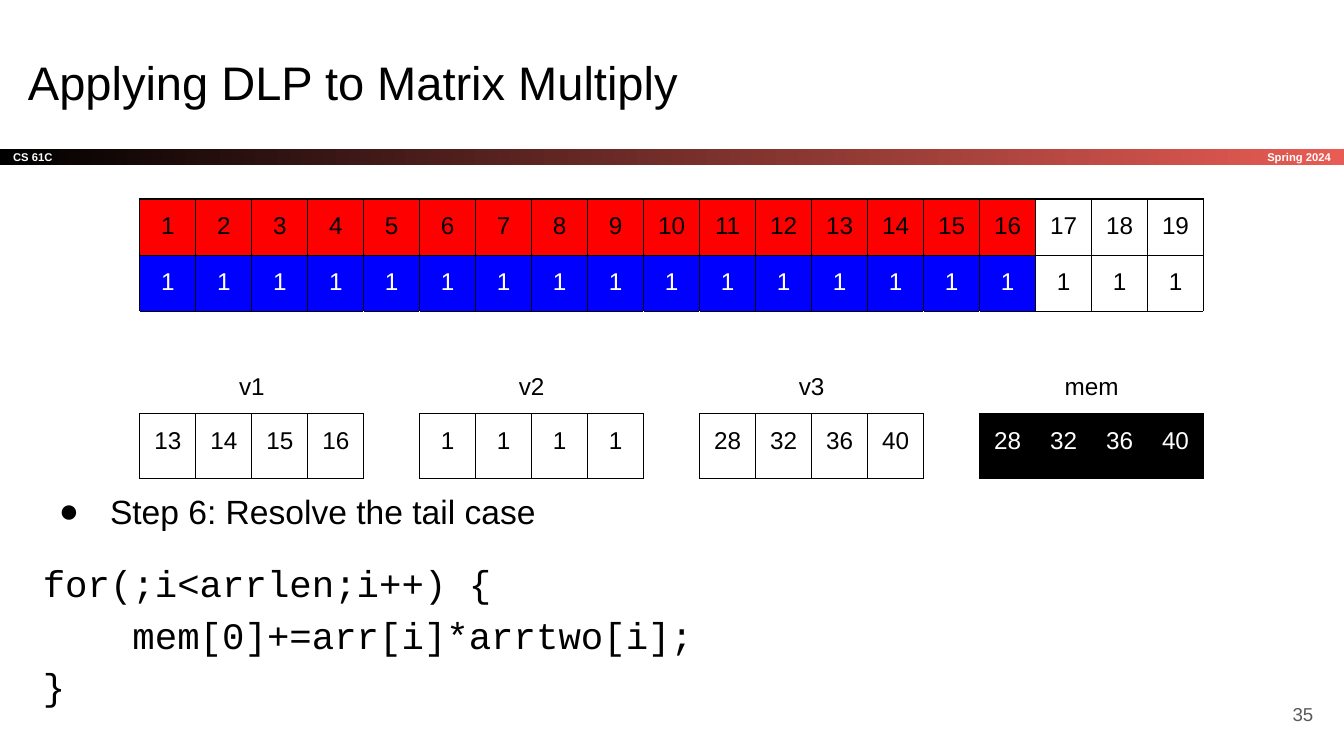
from lxml.etree import SubElement as Sub
from pptx import Presentation
from pptx.dml.color import RGBColor as RGB
from pptx.enum.shapes import MSO_SHAPE as SHAPE
from pptx.enum.text import MSO_ANCHOR as ANCHOR, PP_ALIGN as ALIGN
from pptx.oxml.ns import qn
from pptx.util import Inches, Pt


class Theme:
    black, white, gray = "000000", "FFFFFF", "595959"
    red, blue, coral = "FF0000", "0000FF", "E85C54"
    sans, mono = "Arial", "Courier New"
    title, body, code, cell, page, strip = 25.2, 18, 20, 13, 10, 6


def write(par, text, size, color=Theme.black, font=Theme.sans, bold=False):
    run = par.add_run()
    run.text = text
    run.font.size = Pt(size)
    run.font.name = font
    run.font.bold = bold
    run.font.color.rgb = RGB.from_string(color)


def edge(cell, colors):
    """Draw the left, right, top and bottom borders, in that order."""
    props = cell._tc.get_or_add_tcPr()
    for side, color in zip("LRTB", colors):
        line = Sub(props, qn(f"a:ln{side}"), w=str(Pt(0.75)))
        fill = Sub(line, qn("a:solidFill"))
        Sub(fill, qn("a:srgbClr"), val=color)


deck = Presentation()
deck.slide_width = Inches(10)
deck.slide_height = Inches(10) * 9 // 16
slide = deck.slides.add_slide(deck.slide_layouts[6])
shapes = slide.shapes

# Header strip
strip = shapes.add_shape(SHAPE.RECTANGLE, 0, Inches(1.11), Inches(10), Inches(0.12))
strip.shadow.inherit = False
strip.line.fill.background()
strip.fill.gradient()
strip.fill.gradient_angle = 0
for stop, color in zip(strip.fill.gradient_stops, (Theme.black, Theme.coral)):
    stop.color.rgb = RGB.from_string(color)
frame = strip.text_frame
frame.margin_top = frame.margin_bottom = 0
frame.vertical_anchor = ANCHOR.MIDDLE
frame.paragraphs[0].alignment = ALIGN.LEFT
write(frame.paragraphs[0], "CS 61C", Theme.strip, Theme.white, bold=True)

# Title, term and page number
labels = [
    ("Applying DLP to Matrix Multiply", (0.11, 0.3, 9.32, 0.63), 0.1,
     ANCHOR.TOP, ALIGN.LEFT, Theme.title, Theme.black, False),
    ("Spring 2024", (8.34, 1.11, 1.66, 0.12), 0,
     ANCHOR.MIDDLE, ALIGN.RIGHT, Theme.strip, Theme.white, True),
    ("35", (9.27, 5.1, 0.6, 0.43), 0.1,
     ANCHOR.MIDDLE, ALIGN.RIGHT, Theme.page, Theme.gray, False),
]
for text, place, pad, anchor, align, size, color, bold in labels:
    frame = shapes.add_textbox(*map(Inches, place)).text_frame
    frame.word_wrap = True
    frame.margin_top = frame.margin_bottom = Inches(pad)
    frame.vertical_anchor = anchor
    frame.paragraphs[0].alignment = align
    write(frame.paragraphs[0], text, size, color, bold=bold)

# Step and code
frame = shapes.add_textbox(*map(Inches, (0.22, 3.51, 9.32, 1.97))).text_frame
frame.word_wrap = True
frame.margin_top = frame.margin_bottom = Inches(0.1)
step = frame.paragraphs[0]
step.line_spacing = 1.15
props = step._p.get_or_add_pPr()
props.set("marL", str(Inches(0.5)))
props.set("indent", str(Inches(-0.38)))
Sub(props, qn("a:buSzPts"), val=str(Theme.body * 100))
Sub(props, qn("a:buFont"), typeface=Theme.sans)
Sub(props, qn("a:buChar"), char="●")
write(step, "Step 6: Resolve the tail case", Theme.body)

code = frame.add_paragraph()
code.line_spacing = 1.15
code.space_before = code.space_after = Pt(12)
lines = ["for(;i<arrlen;i++) {", "    mem[0]+=arr[i]*arrtwo[i];", "}"]
for i, line in enumerate(lines):
    if i:
        code.add_line_break()
    write(code, line, Theme.code, font=Theme.mono)

# Arrays above, vector registers and memory below
count, done, lanes = 19, 16, 4
heights = [0.42, 0.42, 0.76, 0.48]
groups = [
    ("v1", (13, 14, 15, 16)),
    ("v2", (1, 1, 1, 1)),
    ("v3", (28, 32, 36, 40)),
    ("mem", (28, 32, 36, 40)),
]
names, values = [""] * count, [""] * count
for i, (name, nums) in enumerate(groups):
    start = i * (lanes + 1)
    names[start] = name
    values[start:start + lanes] = map(str, nums)
rows = [[str(n + 1) for n in range(count)], ["1"] * count, names, values]

table = shapes.add_table(len(rows), count, Inches(1.04), Inches(1.48),
                         Inches(7.92), Inches(sum(heights))).table
table.first_row = table.horz_banding = False
for col in table.columns:
    col.width = Inches(7.92 / count)
for row, height in zip(table.rows, heights):
    row.height = Inches(height)

B, W = Theme.black, Theme.white
for r, row in enumerate(rows):
    for c, text in enumerate(row):
        cell = table.cell(r, c)
        gap = c % (lanes + 1) == lanes
        fill, ink, sides = W, B, (B, B, B, B)
        if r < 2 and c < done:
            fill, ink = [(Theme.red, B), (Theme.blue, W)][r]
        elif r == 2:
            sides = (W, W, B, W if gap else B)
        elif r == 3 and gap:
            sides = (B, B, W, W)
        elif r == 3 and c > count - 1 - lanes:
            fill, ink = B, W
        edge(cell, sides)
        cell.fill.solid()
        cell.fill.fore_color.rgb = RGB.from_string(fill)
        cell.margin_left = cell.margin_right = Inches(0.1)
        cell.margin_top = cell.margin_bottom = Inches(0.1)
        cell.vertical_anchor = ANCHOR.BOTTOM if r == 2 else ANCHOR.TOP
        par = cell.text_frame.paragraphs[0]
        if text:
            par.alignment = ALIGN.CENTER
            write(par, text, Theme.cell, ink)
        else:
            Sub(par._p, qn("a:endParaRPr"), sz=str(Theme.cell * 100))
for c in range(0, count, lanes + 1):
    table.cell(2, c).merge(table.cell(2, c + lanes - 1))

deck.save("out.pptx")
